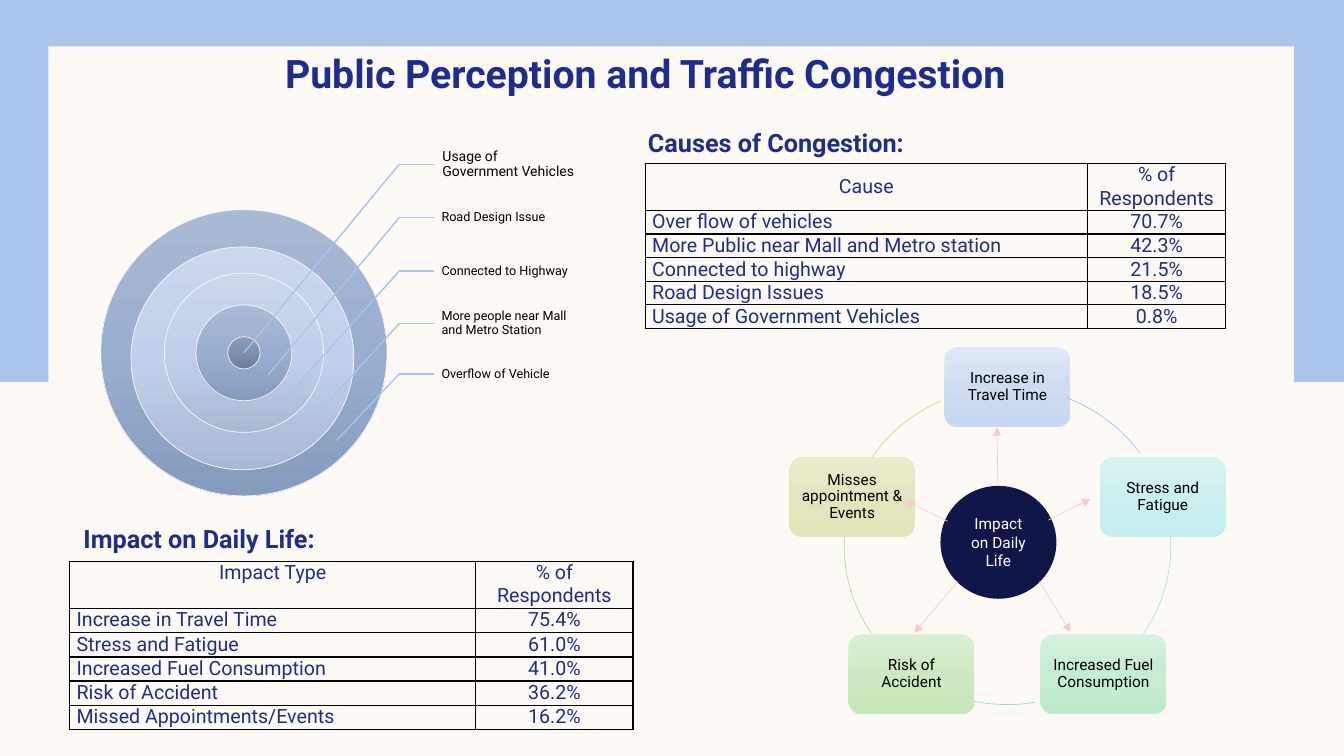
from copy import deepcopy
from dataclasses import dataclass
from math import cos, radians, sin
from typing import Optional

from lxml.etree import SubElement
from pptx import Presentation
from pptx.dml.color import RGBColor
from pptx.enum.shapes import MSO_CONNECTOR as Link, MSO_SHAPE as Preset
from pptx.enum.text import MSO_ANCHOR as Anchor, PP_ALIGN as Align
from pptx.oxml.ns import qn
from pptx.shapes.autoshape import Shape
from pptx.text.text import TextFrame
from pptx.util import Emu, Inches, Pt

CELL = Inches(0.1)
COLUMNS, ROWS = 133.33, 75
FONT = "Roboto"
NAVY = RGBColor(0x1F, 0x2C, 0x8F)
MIDNIGHT = RGBColor(0x10, 0x16, 0x48)
SKY = RGBColor(0xAA, 0xC3, 0xE8)
CREAM = RGBColor(0xFD, 0xFA, 0xF6)
PINK = RGBColor(0xF5, 0xCD, 0xCE)
BLACK = RGBColor(0, 0, 0)
WHITE = RGBColor(0xFF, 0xFF, 0xFF)
AQUA = RGBColor(0xA3, 0xE4, 0xE1)
MINT = RGBColor(0x9D, 0xDF, 0xB2)
LEAF = RGBColor(0xAD, 0xDA, 0x97)
OLIVE = RGBColor(0xD2, 0xD5, 0x92)


def shades(*codes: str) -> tuple[RGBColor, ...]:
    return tuple(RGBColor.from_string(code) for code in codes)


STEEL_SHADES = shades("A8B9D5", "99AFD1", "859BBD")
PALE_SHADES = shades("CCD8ED", "C0D0EB", "A8B9D4")
CORE_SHADES = shades("8D9DB5", "7B90AE", "6B7F9D")


@dataclass(frozen=True)
class Ring:
    diameter: float
    colors: tuple
    x: float = 24.2
    y: float = 35


@dataclass(frozen=True)
class Callout:
    text: str
    row: float
    target: tuple
    size: float = 9
    inset: float = 0.7


@dataclass(frozen=True)
class Impact:
    text: str
    colors: tuple
    arc_color: RGBColor
    arc_start: float
    arc_end: float


@dataclass(frozen=True)
class Survey:
    title: str
    title_box: tuple
    box: tuple
    widths: tuple
    header_height: float
    row_height: float
    anchor: Anchor
    rows: tuple


RINGS = (
    Ring(28.4, STEEL_SHADES), Ring(22.1, PALE_SHADES, 24.05, 35.55),
    Ring(15.8, PALE_SHADES), Ring(9.5, STEEL_SHADES), Ring(3.2, CORE_SHADES),
)
CALLOUTS = (
    Callout("Usage of Government Vehicles", 16.3, (24.2, 35), 10, 0.8),
    Callout("Road Design Issue", 21.6, (26.6, 37.2)),
    Callout("Connected to Highway", 26.9, (28.6, 39.2)),
    Callout("More people near Mall and Metro Station", 32.1, (31.1, 41.5)),
    Callout("Overflow of Vehicle", 37.1, (33.4, 43.7)),
)
IMPACTS = (
    Impact("Increase in Travel Time", shades("DDE7F6", "CFDDF2", "C8D8F2"), SKY, 291.5, 324.9),
    Impact("Stress and Fatigue", shades("D8F4F2", "CAEFEE", "C2EFED"), AQUA, 356.8, 34.6),
    Impact("Increased Fuel Consumption", shades("D3F1DC", "C6ECD2", "BDEBCC"), MINT, 80.1, 103.1),
    Impact("Risk of Accident", shades("D9EECF", "CEE9C2", "C7E8B9"), LEAF, 147.2, 183),
    Impact("Misses appointment & Events", shades("E9EBCC", "E4E5BF", "E1E4B5"), OLIVE, 213.4, 245.4),
)
ARROWS = (
    ((94, 51.7), (89.9, 49.7)), ((99, 48.2), (98.9, 42.4)), ((104, 51.6), (108.2, 49.5)),
    ((103.1, 57.7), (106.2, 62.7)), ((95, 57.7), (90.7, 62.8)),
)
SURVEYS = (
    Survey("Impact on Daily Life:", (7.3, 49.9, 26.7, 5), (6.9, 55.7), (40.3, 15.6), 2.4, 2.4, Anchor.TOP, (
        ("Impact Type", "% of Respondents"), ("Increase in Travel Time", "75.4%"),
        ("Stress and Fatigue", "61.0%"), ("Increased Fuel Consumption", "41.0%"),
        ("Risk of Accident", "36.2%"), ("Missed Appointments/Events", "16.2%"))),
    Survey("Causes of Congestion:", (63.3, 10.6, 29.5, 5), (64, 16.2), (43.9, 13.7), 4.3, 2.1, Anchor.MIDDLE, (
        ("Cause", "% of Respondents"), ("Over flow of vehicles", "70.7%"),
        ("More Public near Mall and Metro station", "42.3%"), ("Connected to highway", "21.5%"),
        ("Road Design Issues", "18.5%"), ("Usage of Government Vehicles", "0.8%"))),
)


def grid(*counts: float) -> list[Emu]:
    return [Emu(round(count * CELL)) for count in counts]


deck = Presentation()
deck.slide_width, deck.slide_height = grid(COLUMNS, ROWS)
slide = deck.slides.add_slide(deck.slide_layouts[6])
slide.background.fill.solid()
slide.background.fill.fore_color.rgb = CREAM


def write(frame: TextFrame, text: str, *, size: float, color: RGBColor, bold: bool = False,
          align: Align = Align.LEFT, anchor: Optional[Anchor] = None, spacing: Optional[float] = None,
          wrap: Optional[bool] = True, insets: Optional[tuple] = None) -> None:
    frame.word_wrap = wrap
    if anchor is not None:
        frame.vertical_anchor = anchor
    if insets:
        frame.margin_left, frame.margin_top, frame.margin_right, frame.margin_bottom = grid(*insets)
    paragraph = frame.paragraphs[0]
    paragraph.alignment = align
    if spacing:
        paragraph.line_spacing = spacing
    run = paragraph.add_run()
    run.text = text
    run.font.name, run.font.size, run.font.bold = FONT, Pt(size), bold
    run.font.color.rgb = color


def draw(preset: Preset, box: tuple, colors: tuple = (), line: Optional[RGBColor] = None) -> Shape:
    shape = slide.shapes.add_shape(preset, *grid(*box))
    shape.shadow.inherit = False
    if len(colors) > 1:
        shape.fill.gradient()
        shape.fill.gradient_angle = 270
        stops = shape._element.spPr.find(qn("a:gradFill")).find(qn("a:gsLst"))
        stops.insert(1, deepcopy(stops[0]))
        for index, (stop, color) in enumerate(zip(shape.fill.gradient_stops, colors)):
            stop.position, stop.color.rgb = index / 2, color
    elif colors:
        shape.fill.solid()
        shape.fill.fore_color.rgb = colors[0]
    else:
        shape.fill.background()
    if line is None:
        shape.line.fill.background()
    else:
        shape.line.color.rgb, shape.line.width = line, Pt(0.5)
    return shape


def connect(start: tuple, end: tuple, color: RGBColor, width: float, arrow: bool = False) -> None:
    link = slide.shapes.add_connector(Link.STRAIGHT, *grid(*start, *end))
    link.line.color.rgb, link.line.width = color, Pt(width)
    if arrow:
        SubElement(link.line._get_or_add_ln(), qn("a:tailEnd"), type="triangle")
    SubElement(link._element.spPr, qn("a:effectLst"))


def draw_survey(survey: Survey) -> None:
    heights = [survey.header_height] + [survey.row_height] * (len(survey.rows) - 1)
    table = slide.shapes.add_table(len(survey.rows), len(survey.widths),
                                   *grid(*survey.box, sum(survey.widths), sum(heights))).table
    table.first_row = table.horz_banding = False
    for column, width in zip(table.columns, grid(*survey.widths)):
        column.width = width
    for row_index, (row, height) in enumerate(zip(table.rows, grid(*heights))):
        row.height = height
        for column_index, (cell, text) in enumerate(zip(row.cells, survey.rows[row_index])):
            cell.margin_left, cell.margin_top, cell.margin_right, cell.margin_bottom = grid(0.7, 0, 0.7, 0)
            cell.vertical_anchor = survey.anchor
            for side in ("lnL", "lnR", "lnT", "lnB"):
                border = SubElement(cell._tc.get_or_add_tcPr(), qn(f"a:{side}"), w=str(Pt(1)))
                SubElement(SubElement(border, qn("a:solidFill")), qn("a:srgbClr"), val=str(BLACK))
            cell.fill.background()
            centred = row_index == 0 or column_index == 1
            write(cell.text_frame, text, size=14, color=NAVY, wrap=None,
                  align=Align.CENTER if centred else Align.LEFT)
    title = slide.shapes.add_textbox(*grid(*survey.title_box))
    write(title.text_frame, survey.title, size=18, color=NAVY, bold=True,
          align=Align.JUSTIFY, spacing=1.5, wrap=False)


def draw_callout(callout: Callout) -> None:
    label = slide.shapes.add_textbox(*grid(43.1, callout.row - 2.5, 14.2, 5))
    write(label.text_frame, callout.text, size=callout.size, color=BLACK, anchor=Anchor.MIDDLE,
          spacing=0.9, insets=(callout.inset, 0.1, 0.1, 0.1))
    knee = (39.6, callout.row)
    connect(knee, (43.1, callout.row), SKY, 1)
    connect(knee, callout.target, SKY, 1)


def draw_cycle() -> None:
    center_x, center_y, radius_x, radius_y = 99.95, 54.15, 16.2, 15.75
    width, height = 12.5, 7.9
    for index, impact in enumerate(IMPACTS):
        angle = radians(index * 360 / len(IMPACTS) - 90)
        left = center_x + radius_x * cos(angle) - width / 2
        top = center_y + radius_y * sin(angle) - height / 2
        card = draw(Preset.ROUNDED_RECTANGLE, (left, top, width, height), impact.colors)
        write(card.text_frame, impact.text, size=11, color=BLACK, align=Align.CENTER,
              anchor=Anchor.MIDDLE, spacing=0.9, insets=(0.5,) * 4)
        arc = draw(Preset.ARC, (center_x - radius_x, center_y - radius_y, 2 * radius_x, 2 * radius_y),
                   line=impact.arc_color)
        arc.adjustments[0], arc.adjustments[1] = impact.arc_start * 0.6, impact.arc_end * 0.6
    hub = draw(Preset.OVAL, (93.3, 48.2, 11.5, 11.2), (MIDNIGHT,))
    write(hub.text_frame, "Impact on Daily Life", size=11, color=WHITE,
          align=Align.CENTER, anchor=Anchor.MIDDLE)
    for start, end in ARROWS:
        connect(start, end, PINK, 0.5, arrow=True)


draw(Preset.RECTANGLE, (0, 0, COLUMNS, 37.9), (SKY,))
draw(Preset.RECTANGLE, (4.8, 4.6, 123.6, 65.9), (CREAM,))
for ring in RINGS:
    radius = ring.diameter / 2
    draw(Preset.OVAL, (ring.x - radius, ring.y - radius, ring.diameter, ring.diameter), ring.colors, CREAM)
for callout in CALLOUTS:
    draw_callout(callout)
heading = slide.shapes.add_textbox(*grid(21.3, 4.1, 85.4, 6.3))
write(heading.text_frame, "Public Perception and Traffic Congestion", size=28, color=NAVY,
      bold=True, align=Align.CENTER, anchor=Anchor.MIDDLE)
draw_cycle()
for survey in SURVEYS:
    draw_survey(survey)
deck.save("out.pptx")
